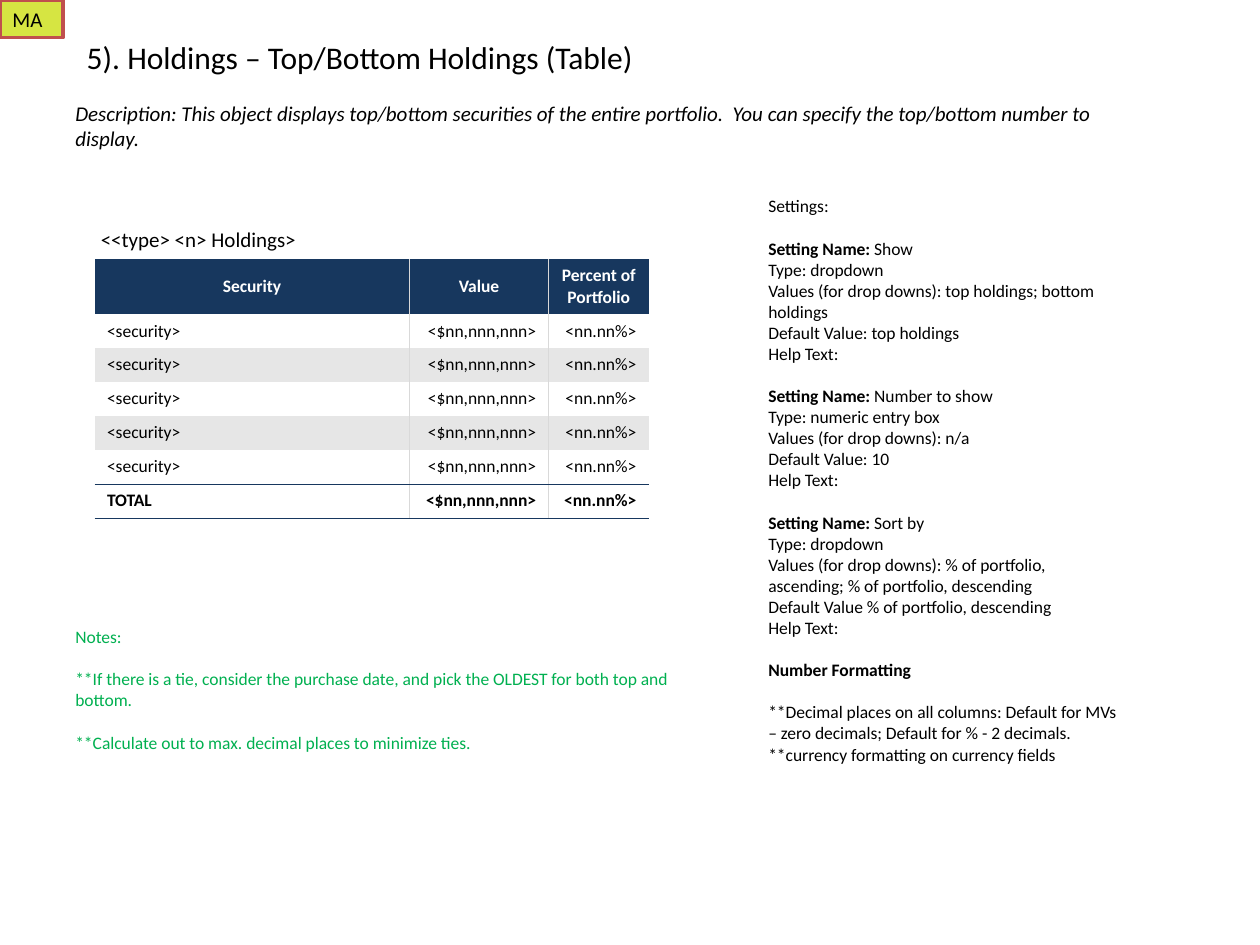
from lxml.etree import SubElement
from pptx import Presentation
from pptx.dml.color import RGBColor
from pptx.enum.shapes import MSO_SHAPE
from pptx.enum.text import MSO_ANCHOR, PP_ALIGN
from pptx.oxml.ns import qn
from pptx.util import Pt

FONT = "Calibri"
BLACK = RGBColor(0x00, 0x00, 0x00)
WHITE = RGBColor(0xFF, 0xFF, 0xFF)
NAVY = RGBColor(0x17, 0x37, 0x5E)
BAND = RGBColor(0xE6, 0xE6, 0xE6)
RULE = RGBColor(0xD9, 0xD9, 0xD9)
GREEN = RGBColor(0x00, 0xB0, 0x50)
LIME = RGBColor(0xD6, 0xE5, 0x42)
RED = RGBColor(0xC0, 0x50, 0x4D)
NO_STYLE = "{2D5ABB26-0587-4C30-8999-92F81FD0307C}"
BLOCK_GAP = 12.2  # one line of 10 pt text

# Content
TITLE = "5). Holdings – Top/Bottom Holdings (Table)"
DESCRIPTION = ("Description: This object displays top/bottom securities of the entire "
               "portfolio.  You can specify the top/bottom number to display.")
TABLE_TITLE = "<<type> <n> Holdings>"
HEADER = ("Security", "Value", "Percent of Portfolio")
NUMBERS = ("<$nn,nnn,nnn>", "<nn.nn%>")
TABLE_ROWS = [HEADER] + [("<security>", *NUMBERS)] * 5 + [("TOTAL", *NUMBERS)]
COLUMN_WIDTHS = (180, 79.5, 57.3)
TITLE_ROW, HEADER_ROW, BODY_ROW = 22, 31.5, 19.4

SETTINGS = [
    ("Show", "Type: dropdown", "Values (for drop downs): top holdings; bottom holdings",
     "Default Value: top holdings"),
    ("Number to show", "Type: numeric entry box", "Values (for drop downs): n/a",
     "Default Value: 10"),
    ("Sort by", "Type: dropdown",
     "Values (for drop downs): % of portfolio, ascending; % of portfolio, descending",
     "Default Value % of portfolio, descending"),
]
FORMATTING = [
    "**Decimal places on all columns: Default for MVs – zero decimals; "
    "Default for % - 2 decimals.",
    "**currency formatting on currency fields",
]
NOTES = [
    "Notes:",
    "**If there is a tie, consider the purchase date, and pick the OLDEST for both "
    "top and bottom.",
    "**Calculate out to max. decimal places to minimize ties.",
]


def add_run(paragraph, text, size, color=BLACK, bold=False, italic=False):
    run = paragraph.add_run()
    run.text = text
    font = run.font
    font.name, font.size, font.bold, font.italic = FONT, Pt(size), bold, italic
    font.color.rgb = color


def write_blocks(frame, blocks, size, color=BLACK, italic=False):
    """Write blocks of lines, a gap between blocks; a line is a list of (text, bold)."""
    paragraph = frame.paragraphs[0]
    for block_index, block in enumerate(blocks):
        for line_index, line in enumerate(block):
            if block_index or line_index:
                paragraph = frame.add_paragraph()
            paragraph.alignment = PP_ALIGN.LEFT
            if block_index and not line_index:
                paragraph.space_before = Pt(BLOCK_GAP)
            for text, bold in line:
                add_run(paragraph, text, size, color, bold, italic)


def plain(text):
    return [(text, False)]


def add_text(slide, box, blocks, size, color=BLACK, italic=False, wrap=True,
             anchor=MSO_ANCHOR.TOP):
    frame = slide.shapes.add_textbox(*map(Pt, box)).text_frame
    frame.word_wrap = wrap
    frame.vertical_anchor = anchor
    write_blocks(frame, blocks, size, color, italic)


def add_panel(slide, box, fill, blocks, size, line=None):
    shape = slide.shapes.add_shape(MSO_SHAPE.RECTANGLE, *map(Pt, box))
    shape.shadow.inherit = False
    shape.fill.solid()
    shape.fill.fore_color.rgb = fill
    if line:
        shape.line.color.rgb = line
        shape.line.width = Pt(2)
    else:
        shape.line.fill.background()
    frame = shape.text_frame
    frame.word_wrap = True
    frame.vertical_anchor = MSO_ANCHOR.TOP
    write_blocks(frame, blocks, size)


def add_border(cell, side, color):
    line = SubElement(cell._tc.get_or_add_tcPr(), qn("a:ln" + side), w=str(Pt(0.23)))
    fill = SubElement(line, qn("a:solidFill"))
    SubElement(fill, qn("a:srgbClr"), val=str(color))


def add_holdings_table(slide):
    heights = [TITLE_ROW, HEADER_ROW] + [BODY_ROW] * (len(TABLE_ROWS) - 1)
    frame = slide.shapes.add_table(len(heights), len(HEADER), Pt(54), Pt(126),
                                   Pt(sum(COLUMN_WIDTHS)), Pt(sum(heights)))
    table = frame.table
    table.first_row = table.horz_banding = False
    table._tbl.tblPr.find(qn("a:tableStyleId")).text = NO_STYLE
    for column, width in zip(table.columns, COLUMN_WIDTHS):
        column.width = Pt(width)
    for row, height in zip(table.rows, heights):
        row.height = Pt(height)

    # Title row across all columns
    title = table.cell(0, 0)
    title.merge(table.cell(0, len(HEADER) - 1))
    title.margin_left = Pt(3.6)
    title.vertical_anchor = MSO_ANCHOR.BOTTOM
    add_run(title.text_frame.paragraphs[0], TABLE_TITLE, 12)

    # Header, banded body and total
    last_row, last_column = len(TABLE_ROWS), len(HEADER) - 1
    for row, values in enumerate(TABLE_ROWS, start=1):
        is_header, is_total = row == 1, row == last_row
        for column, value in enumerate(values):
            cell = table.cell(row, column)
            cell.vertical_anchor = MSO_ANCHOR.MIDDLE
            if column > 0:
                add_border(cell, "L", RULE)
            if column < last_column:
                add_border(cell, "R", RULE)
            if is_total:
                add_border(cell, "T", NAVY)
            if row >= last_row - 1:
                add_border(cell, "B", NAVY)
            cell.fill.solid()
            banded = row % 2 and not is_total
            cell.fill.fore_color.rgb = NAVY if is_header else BAND if banded else WHITE
            paragraph = cell.text_frame.paragraphs[0]
            paragraph.alignment = (PP_ALIGN.CENTER if is_header
                                   else PP_ALIGN.RIGHT if column else PP_ALIGN.LEFT)
            add_run(paragraph, value, 10, WHITE if is_header else BLACK,
                    is_header or is_total)


def main():
    presentation = Presentation()
    presentation.slide_width, presentation.slide_height = Pt(720), Pt(540)
    slide = presentation.slides.add_slide(presentation.slide_layouts[6])

    add_text(slide, (42.5, 18, 330, 29), [[plain(TITLE)]], 18, wrap=False)
    add_holdings_table(slide)

    # Settings panel
    settings = [[plain("Settings:")]]
    for name, *details in SETTINGS:
        heading = [("Setting Name:", True), (" " + name, False)]
        settings.append([heading, *map(plain, details), plain("Help Text:")])
    settings += [[[("Number Formatting", True)]], list(map(plain, FORMATTING))]
    add_panel(slide, (432, 108, 216, 368), WHITE, settings, 10)

    # Description, corner tag and notes
    add_text(slide, (36, 54, 612, 36), [[plain(DESCRIPTION)]], 12, italic=True,
             anchor=MSO_ANCHOR.MIDDLE)
    add_panel(slide, (0, 0, 36, 21.6), LIME, [[plain("MA")]], 12, line=RED)
    add_text(slide, (36, 342 + BLOCK_GAP, 360, 79.4), [[plain(note)] for note in NOTES],
             10, GREEN)

    presentation.save("out.pptx")


if __name__ == "__main__":
    main()
